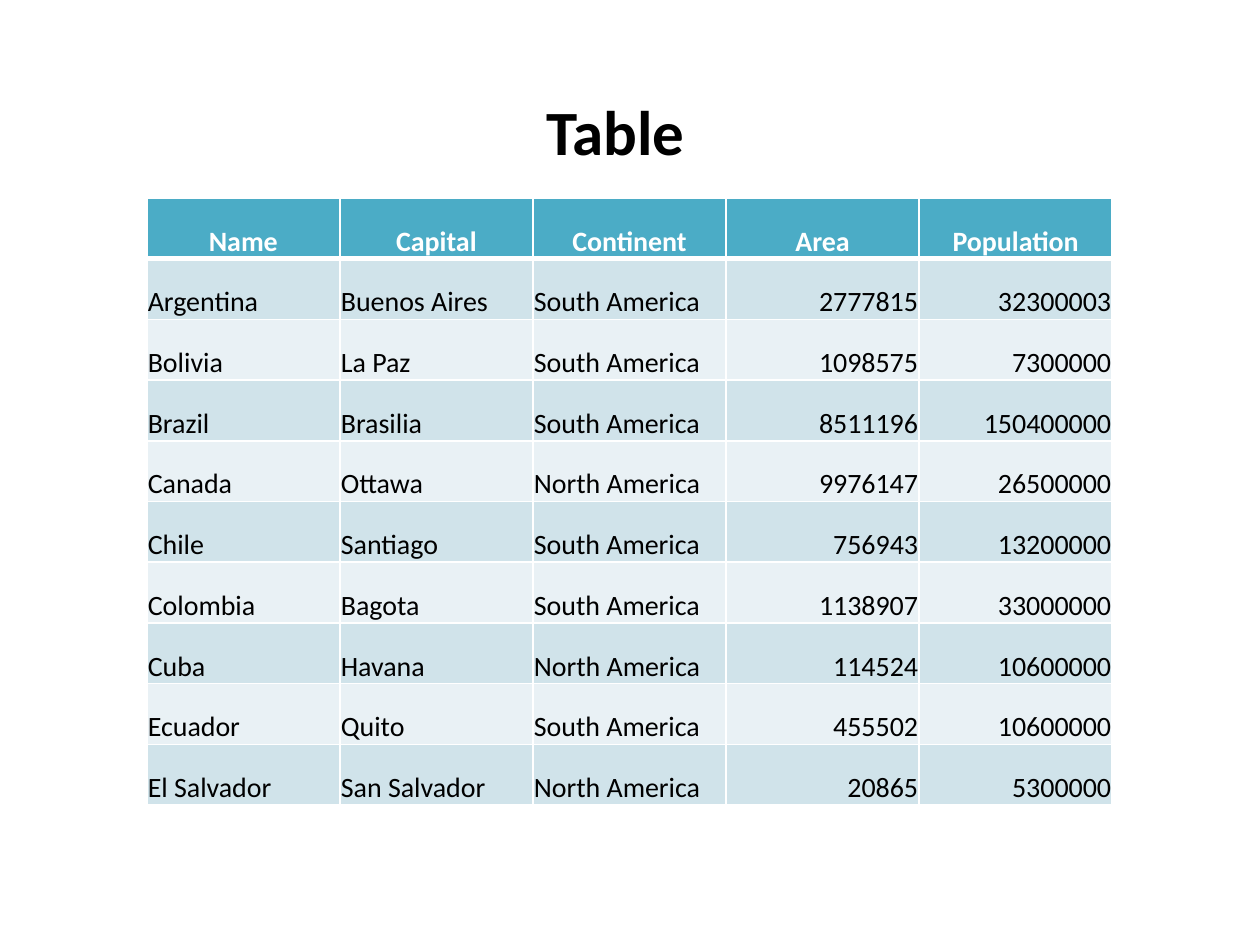
from typing import NamedTuple

from lxml.etree import SubElement
from pptx import Presentation
from pptx.dml.color import RGBColor
from pptx.enum.text import MSO_ANCHOR, MSO_AUTO_SIZE, PP_ALIGN
from pptx.oxml.ns import qn
from pptx.util import Cm, Pt

FONT = "Calibri"
BLACK, WHITE = "000000", "FFFFFF"
HEADER_FILL = "4BACC6"
BAND_FILLS = ("D0E3EA", "E9F1F5")
TABLE_WIDTH, TABLE_HEIGHT = Cm(19.46), Cm(12.24)
THIN, THICK = Pt(1), Pt(3)


class Country(NamedTuple):
    name: str
    capital: str
    continent: str
    area: int
    population: int


class CellStyle(NamedTuple):
    fill: str
    color: str
    bold: bool
    alignment: PP_ALIGN
    top: int = THIN
    bottom: int = THIN


HEADINGS = ("Name", "Capital", "Continent", "Area", "Population")
COUNTRIES = [
    Country("Argentina", "Buenos Aires", "South America", 2777815, 32300003),
    Country("Bolivia", "La Paz", "South America", 1098575, 7300000),
    Country("Brazil", "Brasilia", "South America", 8511196, 150400000),
    Country("Canada", "Ottawa", "North America", 9976147, 26500000),
    Country("Chile", "Santiago", "South America", 756943, 13200000),
    Country("Colombia", "Bagota", "South America", 1138907, 33000000),
    Country("Cuba", "Havana", "North America", 114524, 10600000),
    Country("Ecuador", "Quito", "South America", 455502, 10600000),
    Country("El Salvador", "San Salvador", "North America", 20865, 5300000),
]


def rgb(value: str) -> RGBColor:
    return RGBColor.from_string(value)


def format_text(para, size: int, color: str, bold: bool, alignment: PP_ALIGN) -> None:
    para.alignment = alignment
    for span in para.runs:
        span.font.name = FONT
        span.font.size = Pt(size)
        span.font.bold = bold
        span.font.color.rgb = rgb(color)


def add_border(cell, side: str, width: int) -> None:
    properties = cell._tc.get_or_add_tcPr()
    line = SubElement(properties, qn(f"a:ln{side}"), w=str(int(width)))
    fill = SubElement(line, qn("a:solidFill"))
    SubElement(fill, qn("a:srgbClr"), val=WHITE)


def fill_cell(cell, value: str | int, style: CellStyle) -> None:
    cell.text_frame.text = str(value)
    format_text(cell.text_frame.paragraphs[0], 16, style.color, style.bold, style.alignment)
    cell.vertical_anchor = MSO_ANCHOR.BOTTOM
    cell.margin_left = cell.margin_top = cell.margin_right = Cm(0.02)
    cell.margin_bottom = 0
    for side, width in (("L", THIN), ("R", THIN), ("T", style.top), ("B", style.bottom)):
        add_border(cell, side, width)
    cell.fill.solid()
    cell.fill.fore_color.rgb = rgb(style.fill)


def body_style(row: int, value: str | int) -> CellStyle:
    """Band the rows, and set numbers to the right."""
    alignment = PP_ALIGN.RIGHT if isinstance(value, int) else PP_ALIGN.LEFT
    top = THICK if row == 0 else THIN
    return CellStyle(BAND_FILLS[row % 2], BLACK, False, alignment, top=top)


def add_country_table(page) -> None:
    row_count, column_count = len(COUNTRIES) + 1, len(HEADINGS)
    table = page.shapes.add_table(
        row_count, column_count, Cm(2.96), Cm(3.99), TABLE_WIDTH, TABLE_HEIGHT
    ).table
    for column in table.columns:
        column.width = TABLE_WIDTH // column_count
    for row in table.rows:
        row.height = TABLE_HEIGHT // row_count

    header_style = CellStyle(HEADER_FILL, WHITE, True, PP_ALIGN.CENTER, bottom=THICK)
    for column, heading in enumerate(HEADINGS):
        fill_cell(table.cell(0, column), heading, header_style)
    for row, country in enumerate(COUNTRIES):
        for column, value in enumerate(country):
            fill_cell(table.cell(row + 1, column), value, body_style(row, value))


def set_title(page, text: str) -> None:
    title = page.shapes.title
    title.left, title.top, title.width, title.height = Cm(9.7), Cm(1.73), Cm(5.41), Cm(1.8)
    frame = title.text_frame
    frame.text = text
    frame.word_wrap = True
    frame.auto_size = MSO_AUTO_SIZE.SHAPE_TO_FIT_TEXT
    frame.vertical_anchor = MSO_ANCHOR.TOP
    format_text(frame.paragraphs[0], 36, BLACK, True, PP_ALIGN.CENTER)


def main() -> None:
    deck = Presentation()
    deck.slide_width, deck.slide_height = Cm(25.4), Cm(19.05)
    title_only = deck.slide_layouts[5]
    page = deck.slides.add_slide(title_only)
    set_title(page, "Table")
    add_country_table(page)
    deck.save("out.pptx")


if __name__ == "__main__":
    main()
